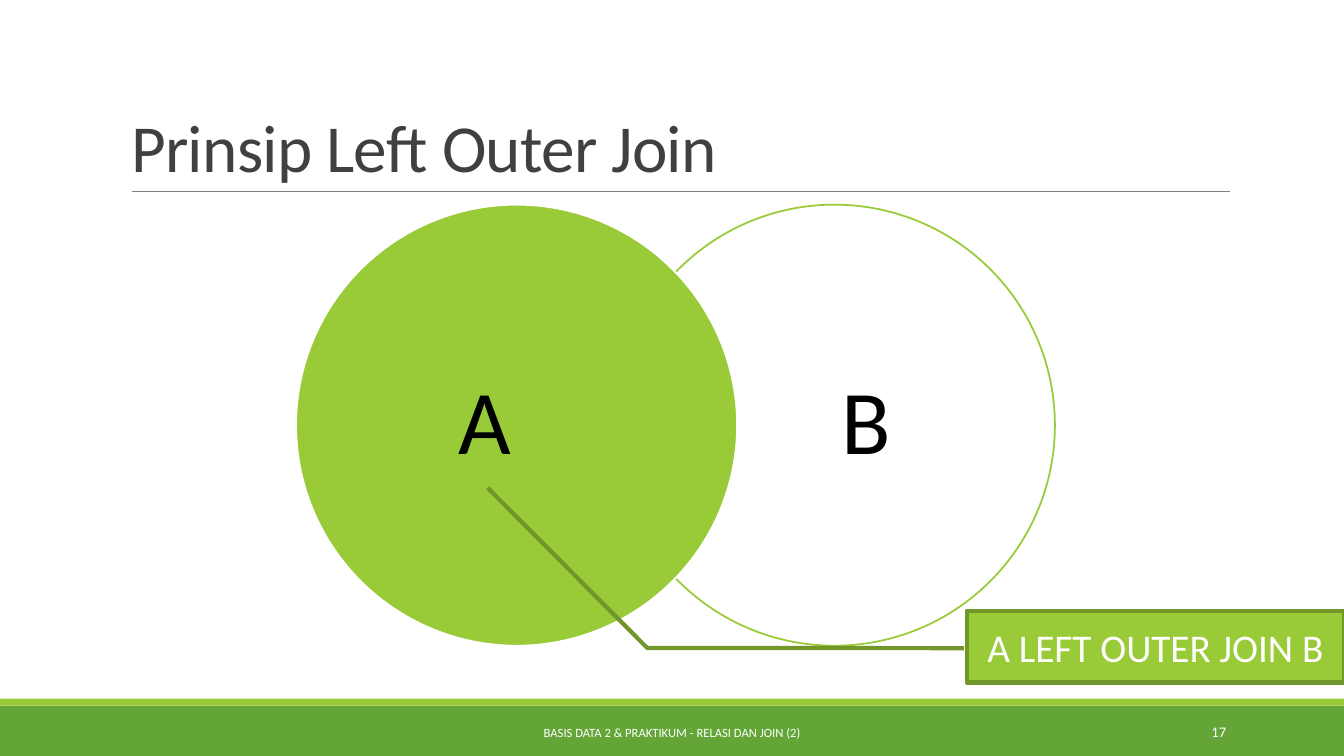
from dataclasses import dataclass

from pptx import Presentation
from pptx.dml.color import RGBColor
from pptx.enum import shapes, text
from pptx.oxml import ns
from pptx.util import Pt
from lxml import etree


@dataclass(frozen=True)
class Theme:
    font: str = "Calibri"
    white: str = "FFFFFF"
    black: str = "000000"
    ink: str = "404040"
    rule: str = "808080"
    lime: str = "99CB38"
    green: str = "63A537"
    olive: str = "719629"
    title_size: float = 48
    letter_size: float = 65
    label_size: float = 28
    footer_size: float = 9
    number_size: float = 10.5


THEME = Theme()
WIDTH, HEIGHT = 960, 540


def rgb(value):
    return RGBColor.from_string(value)


def write(shape, wording, size, color, align, anchor=text.MSO_ANCHOR.MIDDLE):
    """Set a one-paragraph text and return its paragraph."""
    frame = shape.text_frame
    frame.text = wording
    frame.word_wrap = True
    frame.auto_size = text.MSO_AUTO_SIZE.NONE
    frame.vertical_anchor = anchor
    paragraph = frame.paragraphs[0]
    paragraph.alignment = align
    font = paragraph.runs[0].font
    font.name, font.size = THEME.font, Pt(size)
    font.color.rgb = rgb(color)
    return paragraph


def add_filled(slide, preset, box, fill, line=None, line_width=0):
    shape = slide.shapes.add_shape(preset, *map(Pt, box))
    shape.shadow.inherit = False
    shape.fill.solid()
    shape.fill.fore_color.rgb = rgb(fill)
    if line:
        shape.line.color.rgb = rgb(line)
        shape.line.width = Pt(line_width)
    else:
        shape.line.fill.background()
    return shape


def add_heading(slide, box):
    left, top, width, height = box
    title = slide.shapes.title
    title.left, title.top, title.width, title.height = map(Pt, box)
    paragraph = write(title, "Prinsip Left Outer Join", THEME.title_size, THEME.ink,
                      text.PP_ALIGN.LEFT, text.MSO_ANCHOR.BOTTOM)
    paragraph.line_spacing = 0.85
    paragraph.runs[0].font._element.set("spc", "-50")

    bottom = top + height
    rule = slide.shapes.add_connector(
        shapes.MSO_CONNECTOR.STRAIGHT,
        Pt(left + 8), Pt(bottom), Pt(left + width), Pt(bottom))
    rule.line.color.rgb = rgb(THEME.rule)
    rule.line.width = Pt(0.5)
    etree.SubElement(rule._element.spPr, ns.qn("a:effectLst"))


def add_footer(slide, box):
    left, top, width, height = box
    stripe = 5
    rectangle = shapes.MSO_SHAPE.RECTANGLE
    add_filled(slide, rectangle, (left, top + stripe, width, height - stripe), THEME.green)
    add_filled(slide, rectangle, (left, top, width, stripe), THEME.lime)
    for wording, x, span, size, align in (
        ("BASIS DATA 2 & PRAKTIKUM - RELASI DAN JOIN (2)", 290, 380,
         THEME.footer_size, text.PP_ALIGN.CENTER),
        ("17", 780, 103, THEME.number_size, text.PP_ALIGN.RIGHT),
    ):
        caption = slide.shapes.add_textbox(
            Pt(left + x), Pt(top + 9.5), Pt(span), Pt(28.8))
        write(caption, wording, size, THEME.white, align)


def add_venn(slide, box):
    """Overlap two circles as tall as the box, B behind the filled A."""
    left, top, width, diameter = box
    outer_shift = 45
    for letter, x, fill, line, inset_left, inset_right in (
        ("B", left + width - diameter, THEME.white, THEME.lime, outer_shift, 0),
        ("A", left, THEME.lime, THEME.white, 0, outer_shift),
    ):
        circle = add_filled(slide, shapes.MSO_SHAPE.OVAL,
                            (x, top, diameter, diameter), fill, line, 1.25)
        paragraph = write(circle, letter, THEME.letter_size, THEME.black,
                          text.PP_ALIGN.CENTER)
        paragraph.line_spacing = 0.9
        frame = circle.text_frame
        frame.margin_left, frame.margin_right = Pt(inset_left), Pt(inset_right)
        frame.margin_top = frame.margin_bottom = 0


def add_join_label(slide, box):
    """Label the join with a callout whose bent leader points into A."""
    callout = add_filled(slide, shapes.MSO_SHAPE.LINE_CALLOUT_2, box,
                         THEME.lime, THEME.olive, 3)
    leader = (0.522, -0.007, 0.518, -0.847, -1.717, -1.27)
    for index, fraction in enumerate(leader):
        callout.adjustments[index] = fraction
    write(callout, "A LEFT OUTER JOIN B", THEME.label_size, THEME.white,
          text.PP_ALIGN.CENTER)


def main():
    deck = Presentation()
    deck.slide_width, deck.slide_height = Pt(WIDTH), Pt(HEIGHT)
    slide = deck.slides.add_slide(deck.slide_layouts[5])
    add_footer(slide, (0, 499, WIDTH, 41))
    add_heading(slide, (86.4, 22.5, 792, 114.3))
    add_venn(slide, (211.5, 146.2, 542, 315))
    add_join_label(slide, (690.5, 436.3, 269.5, 51.2))
    deck.save("out.pptx")


if __name__ == "__main__":
    main()
